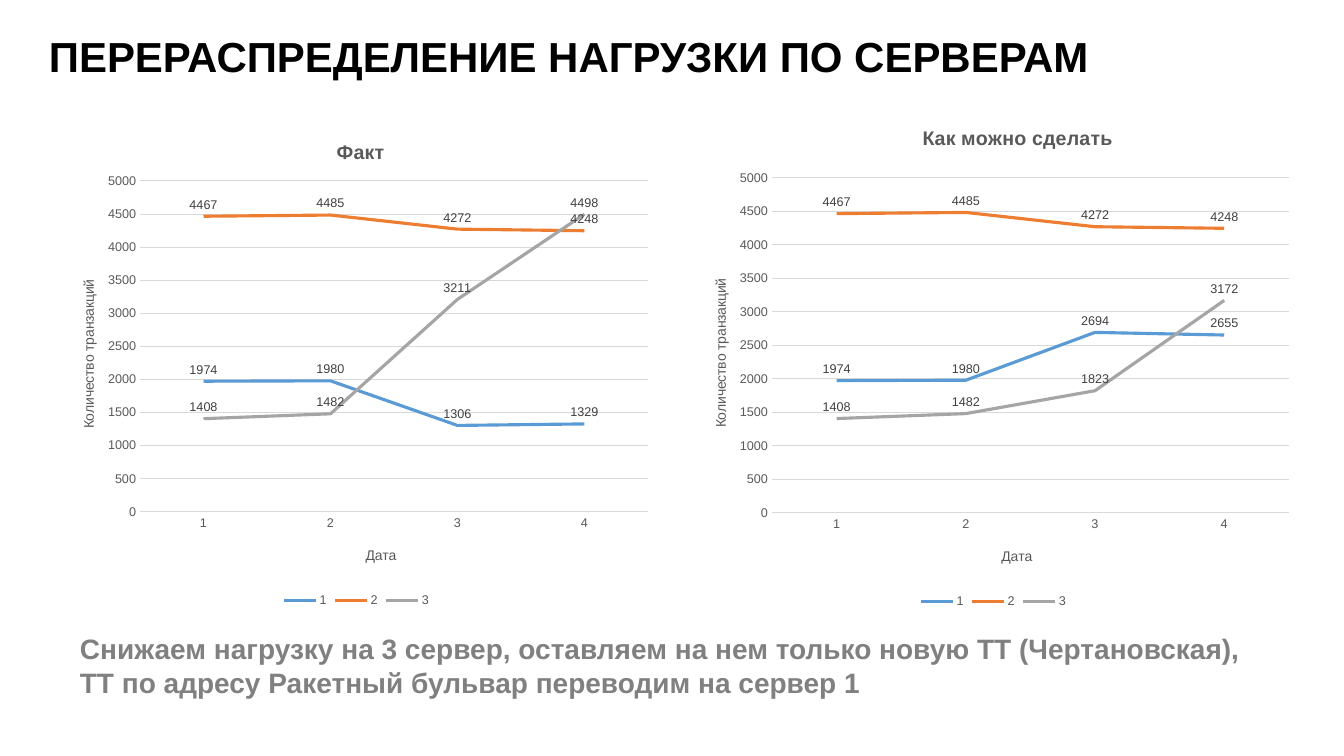
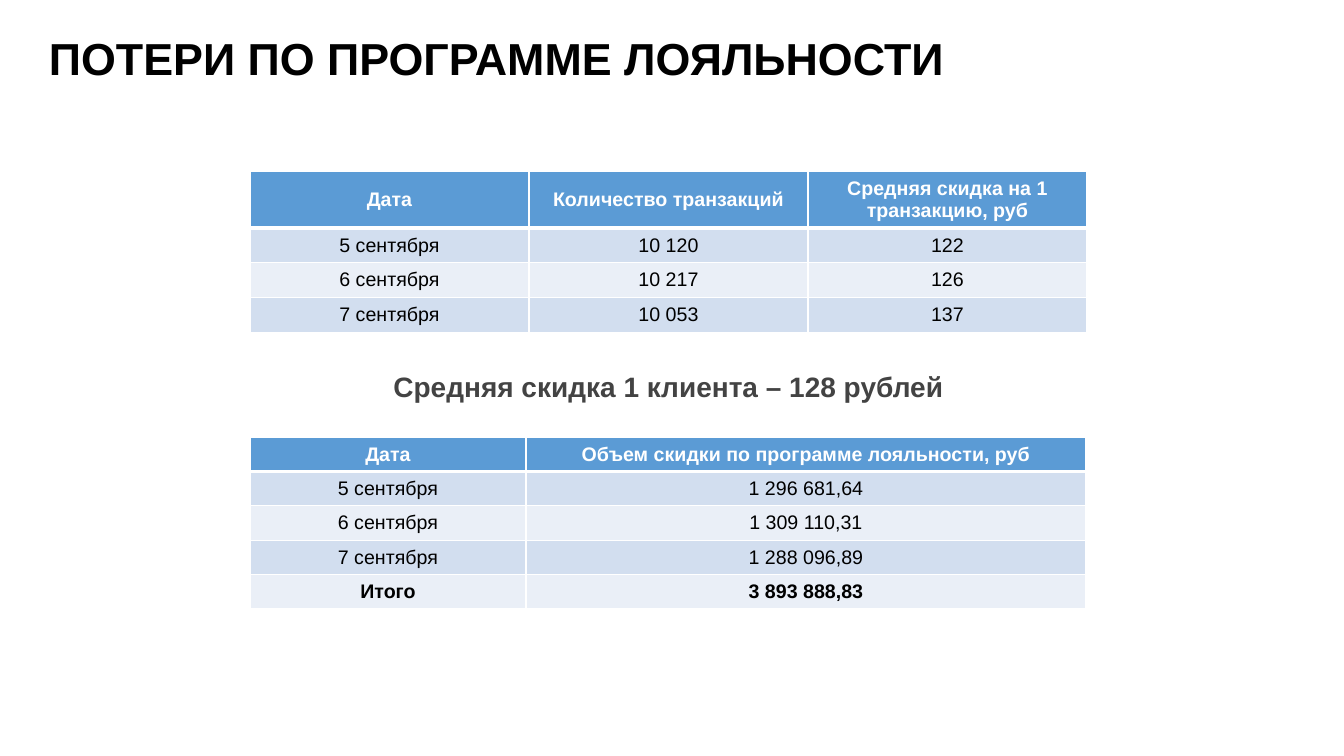
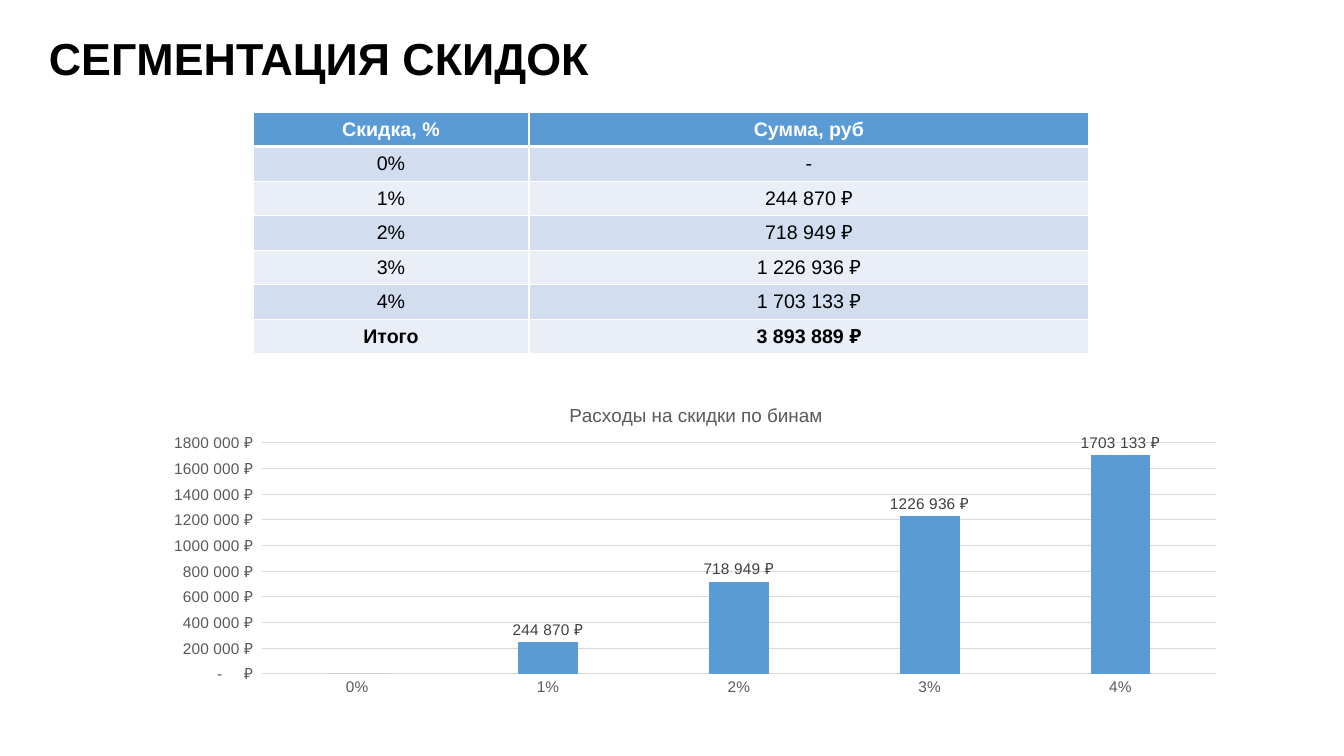
from dataclasses import dataclass
from typing import NamedTuple

from pptx import Presentation
from pptx.chart.data import CategoryChartData
from pptx.dml.color import RGBColor
from pptx.enum.chart import XL_CHART_TYPE as ChartType
from pptx.enum.chart import XL_LABEL_POSITION as LabelPosition
from pptx.enum.chart import XL_LEGEND_POSITION as LegendPosition
from pptx.enum.chart import XL_TICK_MARK as TickMark
from pptx.enum.text import MSO_ANCHOR as Anchor
from pptx.enum.text import PP_ALIGN as Align
from pptx.oxml import parse_xml
from pptx.oxml.ns import nsdecls, qn
from pptx.util import Emu, Pt

EMU_PER_PX = 914400 / 100.8
FONT = "Arial"
BLACK, WHITE = "000000", "FFFFFF"
BLUE, ORANGE, GRAY = "5B9BD5", "ED7D31", "A5A5A5"
BAND_DARK, BAND_LIGHT = "D2DEEF", "EAEFF7"
AXIS_TEXT, LABEL_TEXT, GRID = "595959", "404040", "D9D9D9"
NOTE_TEXT, AVERAGE_TEXT = "808080", "434343"
ROUBLES = r'_-* #\ ##0\ "₽"_-;\-* #\ ##0\ "₽"_-;_-* "-"??\ "₽"_-;_-@_-'


class Box(NamedTuple):
    left: int
    top: int
    width: int
    height: int


class Point(NamedTuple):
    left: int
    top: int


class Style(NamedTuple):
    size: float
    color: str
    bold: bool = False


@dataclass
class Heading:
    text: str
    at: Point
    style: Style


@dataclass
class ChartSpec:
    kind: ChartType
    box: Box
    plot: Box
    title: Heading
    categories: list[str]
    series: dict[str, list[int]]
    maximum: int
    step: int
    size: int
    number_format: str = "General"


@dataclass
class TableSpec:
    box: Box
    columns: list[int]
    rows: list[list[str]]
    header_height: int = 0
    has_total: bool = False


def px(length: float) -> Emu:
    return Emu(round(length * EMU_PER_PX))


def rgb(color: str) -> RGBColor:
    return RGBColor.from_string(color)


def style_font(font, style: Style) -> None:
    font.name = FONT
    font.size = Pt(style.size)
    font.bold = style.bold
    font.color.rgb = rgb(style.color)


def add_text(page, box: Box, text: str, style: Style,
             align: Align = Align.LEFT, spacing: float = 1.0) -> None:
    frame = page.shapes.add_textbox(*map(px, box)).text_frame
    frame.word_wrap = True
    frame.text = text
    para = frame.paragraphs[0]
    para.alignment = align
    para.line_spacing = spacing
    style_font(para.runs[0].font, style)


def add_page(deck, title: str, size: int = 32):
    page = deck.slides.add_slide(deck.slide_layouts[6])
    add_text(page, Box(39, 26, 1265, 64), title, Style(size, BLACK, True))
    return page


def set_borders(cell, top: int, bottom: int) -> None:
    properties = cell._tc.get_or_add_tcPr()
    widths = {"lnL": 1, "lnR": 1, "lnT": top, "lnB": bottom}
    for index, (side, width) in enumerate(widths.items()):
        properties.insert(index, parse_xml(
            f'<a:{side} {nsdecls("a")} w="{Pt(width)}"><a:solidFill>'
            f'<a:srgbClr val="{WHITE}"/></a:solidFill></a:{side}>'))


def add_table(page, spec: TableSpec) -> None:
    count = len(spec.rows)
    table = page.shapes.add_table(count, len(spec.columns), *map(px, spec.box)).table
    for column, width in zip(table.columns, spec.columns):
        column.width = px(width)
    header_height = spec.header_height or spec.box.height / count
    body_height = (spec.box.height - header_height) / (count - 1)
    for number, texts in enumerate(spec.rows):
        is_header = number == 0
        is_total = spec.has_total and number == count - 1
        table.rows[number].height = px(header_height if is_header else body_height)
        fill = BLUE if is_header else (BAND_LIGHT, BAND_DARK)[number % 2]
        style = Style(14, WHITE if is_header else BLACK, is_header or is_total)
        for index, text in enumerate(texts):
            cell = table.cell(number, index)
            cell.text = text
            cell.vertical_anchor = Anchor.MIDDLE
            cell.fill.solid()
            cell.fill.fore_color.rgb = rgb(fill)
            set_borders(cell, 3 if number == 1 else 1, 3 if is_header else 1)
            para = cell.text_frame.paragraphs[0]
            para.alignment = Align.CENTER
            style_font(para.runs[0].font, style)


def place(element, chart_box: Box, target: Point | Box) -> None:
    old = element.find(qn("c:layout"))
    if old is not None:
        element.remove(old)
    sizes = {"x": (target.left - chart_box.left) / chart_box.width,
             "y": (target.top - chart_box.top) / chart_box.height}
    inner = ""
    if isinstance(target, Box):
        inner = '<c:layoutTarget val="inner"/>'
        sizes |= {"w": target.width / chart_box.width,
                  "h": target.height / chart_box.height}
    modes = "".join(f'<c:{key}Mode val="edge"/>' for key in "xy")
    values = "".join(f'<c:{key} val="{value:.4f}"/>' for key, value in sizes.items())
    layout = parse_xml(f'<c:layout {nsdecls("c")}><c:manualLayout>{inner}{modes}'
                       f'{values}</c:manualLayout></c:layout>')
    element.insert(0 if element.find(qn("c:tx")) is None else 1, layout)


def set_heading(title, chart_box: Box, heading: Heading) -> None:
    title.text_frame.text = heading.text
    style_font(title.text_frame.paragraphs[0].runs[0].font, heading.style)
    place(title.element, chart_box, heading.at)


def add_chart(page, spec: ChartSpec):
    data = CategoryChartData(number_format=spec.number_format)
    data.categories = spec.categories
    for name, values in spec.series.items():
        data.add_series(name, values)
    chart = page.shapes.add_chart(spec.kind, *map(px, spec.box), data).chart
    style_font(chart.font, Style(spec.size, AXIS_TEXT))
    chart.has_legend = False
    chart.has_title = True
    set_heading(chart.chart_title, spec.box, spec.title)
    place(chart.element.find(".//" + qn("c:plotArea")), spec.box, spec.plot)
    for axis in (chart.category_axis, chart.value_axis):
        axis.major_tick_mark = axis.minor_tick_mark = TickMark.NONE
        style_font(axis.tick_labels.font, Style(spec.size, AXIS_TEXT))
    value_axis = chart.value_axis
    value_axis.minimum_scale = 0
    value_axis.maximum_scale = spec.maximum
    value_axis.major_unit = spec.step
    value_axis.tick_labels.number_format = spec.number_format
    value_axis.tick_labels.number_format_is_linked = False
    value_axis.format.line.fill.background()
    value_axis.has_major_gridlines = True
    for line in (chart.category_axis.format.line, value_axis.major_gridlines.format.line):
        line.color.rgb = rgb(GRID)
        line.width = Pt(0.75)
    is_line = spec.kind == ChartType.LINE
    chart.plots[0].vary_by_categories = False
    for series, color in zip(chart.plots[0].series, (BLUE, ORANGE, GRAY)):
        if is_line:
            series.smooth = False
            series.format.line.color.rgb = rgb(color)
            series.format.line.width = Pt(2.25)
        else:
            series.format.fill.solid()
            series.format.fill.fore_color.rgb = rgb(color)
        labels = series.data_labels
        labels.show_value = True
        labels.number_format = spec.number_format
        labels.number_format_is_linked = False
        labels.position = LabelPosition.ABOVE if is_line else LabelPosition.OUTSIDE_END
        style_font(labels.font, Style(spec.size, LABEL_TEXT))
    return chart


def add_server_chart(page, box: Box, plot: Box, title: Heading, date_at: Point,
                     count_at: Point, first: list[int], third: list[int]) -> None:
    second = [4467, 4485, 4272, 4248]
    chart = add_chart(page, ChartSpec(
        ChartType.LINE, box, plot, title, list("1234"),
        {"1": first, "2": second, "3": third}, 5000, 500, 9))
    style = Style(10, AXIS_TEXT)
    set_heading(chart.category_axis.axis_title, box, Heading("Дата", date_at, style))
    count_title = chart.value_axis.axis_title
    set_heading(count_title, box, Heading("Количество транзакций", count_at, style))
    body = chart.element.find(f'.//{qn("c:valAx")}/{qn("c:title")}//{qn("a:bodyPr")}')
    body.set("rot", "-5400000")
    body.set("vert", "horz")
    chart.has_legend = True
    chart.legend.position = LegendPosition.BOTTOM
    chart.legend.include_in_layout = False
    style_font(chart.legend.font, Style(9, AXIS_TEXT))


def build_servers(deck) -> None:
    page = add_page(deck, "ПЕРЕРАСПРЕДЕЛЕНИЕ НАГРУЗКИ ПО СЕРВЕРАМ", 30)
    style = Style(14, AXIS_TEXT, True)
    add_server_chart(page, Box(53, 115, 607, 497), Box(140, 181, 508, 331),
                     Heading("Факт", Point(333, 136), style),
                     Point(363, 544), Point(77, 277),
                     [1974, 1980, 1306, 1329], [1408, 1482, 3211, 4498])
    add_server_chart(page, Box(686, 111, 615, 502), Box(772, 178, 517, 335),
                     Heading("Как можно сделать", Point(919, 122), style),
                     Point(999, 545), Point(709, 276),
                     [1974, 1980, 2694, 2655], [1408, 1482, 1823, 3172])
    add_text(page, Box(70, 627, 1218, 78),
             "Снижаем нагрузку на 3 сервер, оставляем на нем только новую ТТ "
             "(Чертановская), ТТ по адресу Ракетный бульвар переводим на сервер 1",
             Style(20, NOTE_TEXT, True))


def build_losses(deck) -> None:
    page = add_page(deck, "ПОТЕРИ ПО ПРОГРАММЕ ЛОЯЛЬНОСТИ")
    add_table(page, TableSpec(Box(250, 171, 837, 161), [279] * 3, [
        ["Дата", "Количество транзакций", "Средняя скидка на 1 транзакцию, руб"],
        ["5 сентября", "10 120", "122"],
        ["6 сентября", "10 217", "126"],
        ["7 сентября", "10 053", "137"],
    ], header_height=57))
    add_text(page, Box(250, 359, 837, 49), "Средняя скидка 1 клиента – 128 рублей",
             Style(20, AVERAGE_TEXT, True), Align.CENTER, 1.15)
    add_table(page, TableSpec(Box(250, 437, 836, 172), [276, 560], [
        ["Дата", "Объем скидки по программе лояльности, руб"],
        ["5 сентября", "1 296 681,64"],
        ["6 сентября", "1 309 110,31"],
        ["7 сентября", "1 288 096,89"],
        ["Итого", "3 893 888,83"],
    ], has_total=True))


def build_segments(deck) -> None:
    page = add_page(deck, "СЕГМЕНТАЦИЯ СКИДОК")
    add_table(page, TableSpec(Box(253, 112, 836, 242), [276, 560], [
        ["Скидка, %", "Сумма, руб"],
        ["0%", "-"],
        ["1%", "244 870 ₽"],
        ["2%", "718 949 ₽"],
        ["3%", "1 226 936 ₽"],
        ["4%", "1 703 133 ₽"],
        ["Итого", "3 893 889 ₽"],
    ], has_total=True))
    chart = add_chart(page, ChartSpec(
        ChartType.COLUMN_CLUSTERED, Box(148, 384, 1090, 319), Box(262, 443, 954, 231),
        Heading("Расходы на скидки по бинам", Point(566, 400), Style(13.5, AXIS_TEXT)),
        [f"{percent}%" for percent in range(5)],
        {"Series 1": [0, 244870, 718949, 1226936, 1703133]},
        1800000, 200000, 11, ROUBLES))
    plot = chart.plots[0]
    plot.gap_width = 219
    plot.overlap = -27
    chart.element.find(f'.//{qn("c:ser")}/{qn("c:dLbls")}').insert(0, parse_xml(
        f'<c:dLbl {nsdecls("c")}><c:idx val="0"/><c:delete val="1"/></c:dLbl>'))


def main() -> None:
    deck = Presentation()
    deck.slide_width, deck.slide_height = px(1344), px(756)
    for build in (build_servers, build_losses, build_segments):
        build(deck)
    deck.save("out.pptx")


if __name__ == "__main__":
    main()
